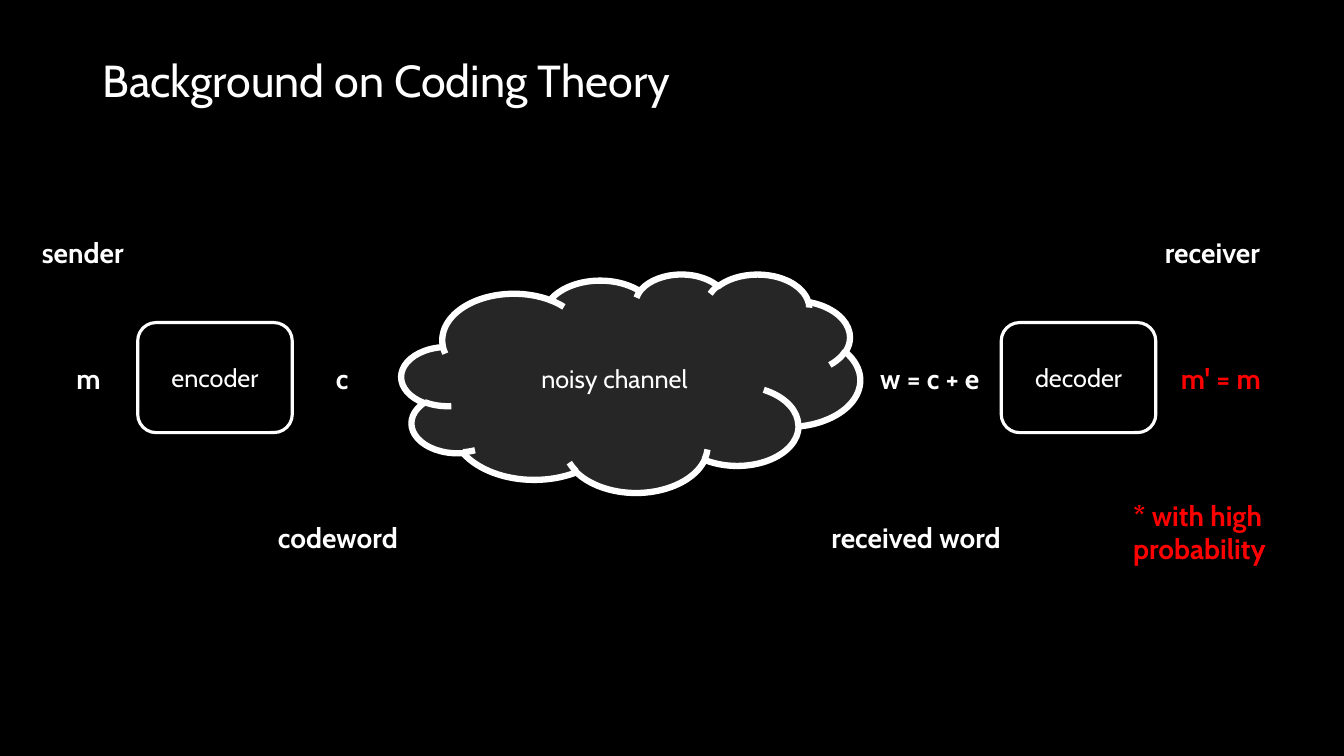
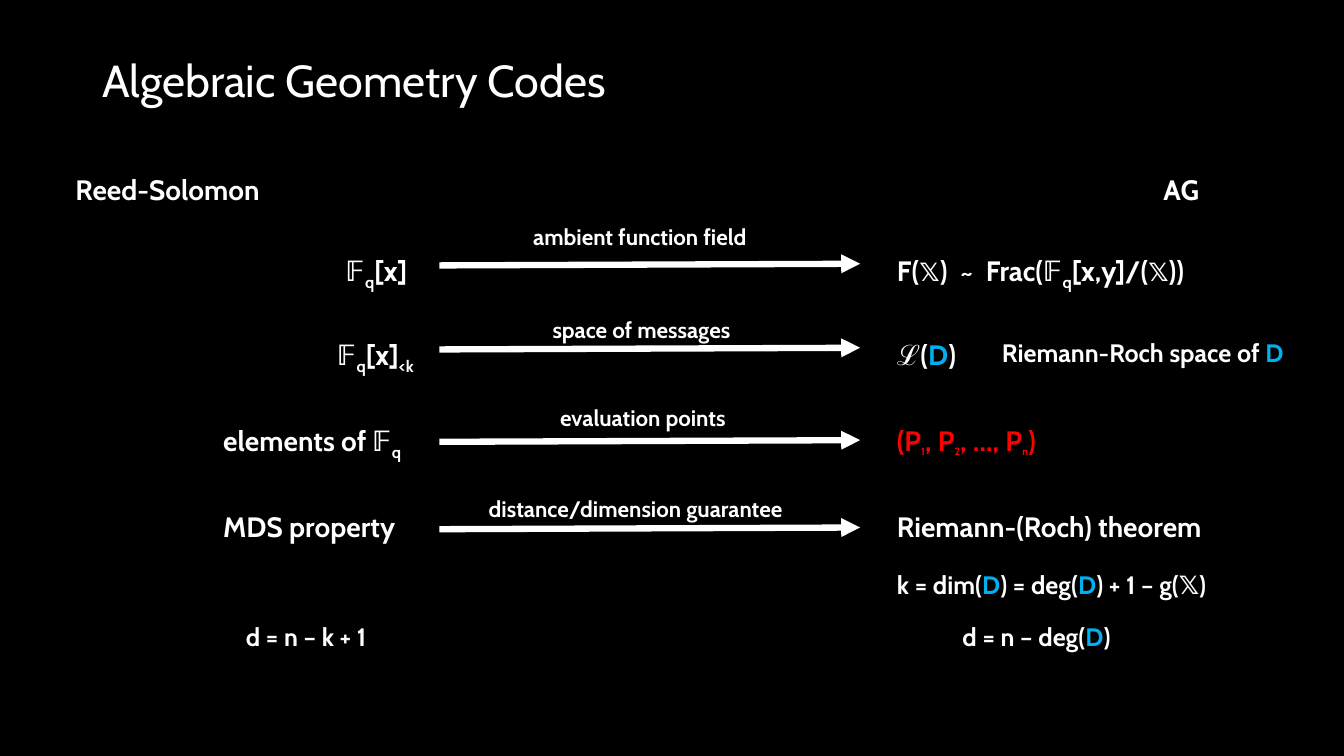
from lxml import etree
from pptx import Presentation, util as u
from pptx.dml.color import RGBColor
from pptx.enum import shapes, text
from pptx.oxml import ns

BLACK = RGBColor(0x00, 0x00, 0x00)
WHITE = RGBColor(0xFF, 0xFF, 0xFF)
RED = RGBColor(0xFF, 0x00, 0x00)
BLUE = RGBColor(0x00, 0xB0, 0xF0)
CHARCOAL = RGBColor(0x26, 0x26, 0x26)

COLUMNS, ROWS = 160, 90
FONT = "Cabin"
CLOUD = shapes.MSO_SHAPE.CLOUD
ROUNDED = shapes.MSO_SHAPE.ROUNDED_RECTANGLE


def sub(characters, **changes):
    """Subscript run."""
    return characters, {"baseline": -25000, **changes}


class Deck:
    """Holds the style and the current slide; all lengths are grid columns and rows."""

    def __init__(self):
        self.presentation = Presentation()
        self.presentation.slide_width = u.Inches(13.33)
        self.presentation.slide_height = u.Inches(7.5)
        background = self.presentation.slide_master.background.fill
        background.solid()
        background.fore_color.rgb = BLACK
        self.slide = None

    def x(self, columns):
        return round(self.presentation.slide_width * columns / COLUMNS)

    def y(self, rows):
        return round(self.presentation.slide_height * rows / ROWS)

    def area(self, left, top, width, height):
        return self.x(left), self.y(top), self.x(width), self.y(height)

    def set_text(self, shape, runs, color=WHITE, align=text.PP_ALIGN.LEFT, spacing=1.0,
                 anchor=text.MSO_ANCHOR.MIDDLE, fit=text.MSO_AUTO_SIZE.NONE, **font_format):
        """Fill a shape with runs, each a string or a (string, changes) pair."""
        frame = shape.text_frame
        paragraph = frame.paragraphs[0]
        frame_format = {"word_wrap": True, "vertical_anchor": anchor, "auto_size": fit}
        paragraph_format = {"alignment": align, "line_spacing": spacing}
        for target, values in ((frame, frame_format), (paragraph, paragraph_format)):
            for name, value in values.items():
                setattr(target, name, value)
        for part in [runs] if isinstance(runs, str) else runs:
            characters, changes = (part, {}) if isinstance(part, str) else part
            values = {"name": FONT, "color": color, **font_format, **changes}
            run = paragraph.add_run()
            run.text = characters
            run.font.color.rgb = values.pop("color")
            baseline = values.pop("baseline", None)
            if baseline:
                run._r.get_or_add_rPr().set("baseline", str(baseline))
            for name, value in values.items():
                setattr(run.font, name, value)

    def new_slide(self, title):
        self.slide = self.presentation.slides.add_slide(self.presentation.slide_layouts[6])
        box = self.slide.shapes.add_textbox(*self.area(11, 4.8, 138, 10.2))
        self.set_text(box, title, spacing=0.9, size=u.Pt(32))

    def label(self, left, top, width, runs, points=20, color=WHITE, lines=1):
        """Bold text box whose height follows from its type size."""
        height = 1.2 + 0.2 * points * lines
        box = self.slide.shapes.add_textbox(*self.area(left, top, width, height))
        self.set_text(box, runs, color, anchor=text.MSO_ANCHOR.TOP,
                      fit=text.MSO_AUTO_SIZE.SHAPE_TO_FIT_TEXT, size=u.Pt(points), bold=True)

    def node(self, preset, left, top, width, height, caption, points, fill=None):
        shape = self.slide.shapes.add_shape(preset, *self.area(left, top, width, height))
        shape.shadow.inherit = False
        if fill is None:
            shape.fill.background()
        else:
            shape.fill.solid()
            shape.fill.fore_color.rgb = fill
        shape.line.color.rgb = WHITE
        shape.line.width = u.Pt(points)
        self.set_text(shape, caption, align=text.PP_ALIGN.CENTER, size=u.Pt(18))

    def arrow(self, left, top, right, bottom):
        connector = self.slide.shapes.add_connector(
            shapes.MSO_CONNECTOR.STRAIGHT,
            self.x(left), self.y(top), self.x(right), self.y(bottom))
        connector.line.color.rgb = WHITE
        connector.line.width = u.Pt(4.5)
        etree.SubElement(connector.line._get_or_add_ln(), ns.qn("a:tailEnd"), type="triangle")
        etree.SubElement(connector._element.spPr, ns.qn("a:effectLst"))


def coding_theory(deck):
    deck.new_slide("Background on Coding Theory")
    deck.node(CLOUD, 47.8, 32.6, 54.6, 26, "noisy channel", 4.5, CHARCOAL)
    for left, caption in ((16.4, "encoder"), (119.2, "decoder")):
        deck.node(ROUNDED, left, 38.4, 18.4, 13.1, caption, 2.25)

    label_rows = {
        27.4: [(3.8, 14.2, "sender"), (137.5, 16.4, "receiver")],
        42.4: [(7.9, 6, "m"), (38.8, 4.4, "c"), (103.6, 16.4, "w = c + e")],
        61.4: [(31.9, 17.9, "codeword"), (97.8, 28, "received word")],
    }
    for top, labels in label_rows.items():
        for left, width, caption in labels:
            deck.label(left, top, width, caption)
    deck.label(139.4, 42.4, 16.6, "m' = m", color=RED)
    deck.label(133.7, 58.7, 22.3, "* with high probability", color=RED, lines=2)


def geometry_codes(deck):
    divisor = ("D", {"color": BLUE})
    curve = ("𝕏", {"size": u.Pt(18)})
    index_size = u.Pt(13)
    right_column = 105.6

    deck.new_slide("Algebraic Geometry Codes")
    deck.label(7.8, 19.9, 25.9, "Reed-Solomon")
    deck.label(137.3, 19.9, 7.3, "AG")

    # Each row: text top, arrow top, left label, caption over the arrow, right label
    comparisons = [
        (29.6, 31.6, (40, 10.4, ["𝔽", sub("q"), "[x]"]),
         (62.3, 26, 30, "ambient function field"),
         (40.4, ["F(", curve, ")  ~  Frac(𝔽", sub("q"), "[x,y]/(", curve, "))"], WHITE)),
        (39.6, 41.6, (39, 12.4, ["𝔽", sub("q"), "[x]", sub("<k")]),
         (64.6, 37, 28.1, "space of messages"),
         (10.4, ["ℒ(", divisor, ")"], WHITE)),
        (49.8, 52.6, (25.4, 25, ["elements of 𝔽", sub("q")]),
         (65.5, 47.5, 23.6, "evaluation points"),
         (20.9, ["(P", sub("1", size=index_size), ", P", sub("2", size=index_size),
                 ", …, P", sub("n", size=index_size), ")"], RED)),
        (60.1, 63, (25.4, 25, "MDS property"),
         (57, 58.3, 40.7, "distance/dimension guarantee"),
         (40.7, "Riemann-(Roch) theorem", WHITE)),
    ]
    for top, arrow_top, (left, width, code), caption, (span, analogue, color) in comparisons:
        deck.label(left, top, width, code)
        deck.arrow(52.3, arrow_top, 102.4, arrow_top - 0.2)
        deck.label(*caption, points=16)
        deck.label(right_column, top, span, analogue, color=color)

    formulas = [
        (118.1, 39.6, 38.4, ["Riemann-Roch space of ", divisor]),
        (right_column, 67.2, 42.1,
         ["k = dim(", divisor, ") = deg(", divisor, ") + 1 – g(𝕏)"]),
        (28.1, 73.4, 19.7, "d = n – k + 1"),
        (113.4, 73.4, 21.1, ["d = n – deg(", divisor, ")"]),
    ]
    for formula in formulas:
        deck.label(*formula, points=18)


def main():
    deck = Deck()
    coding_theory(deck)
    geometry_codes(deck)
    deck.presentation.save("out.pptx")


if __name__ == "__main__":
    main()
